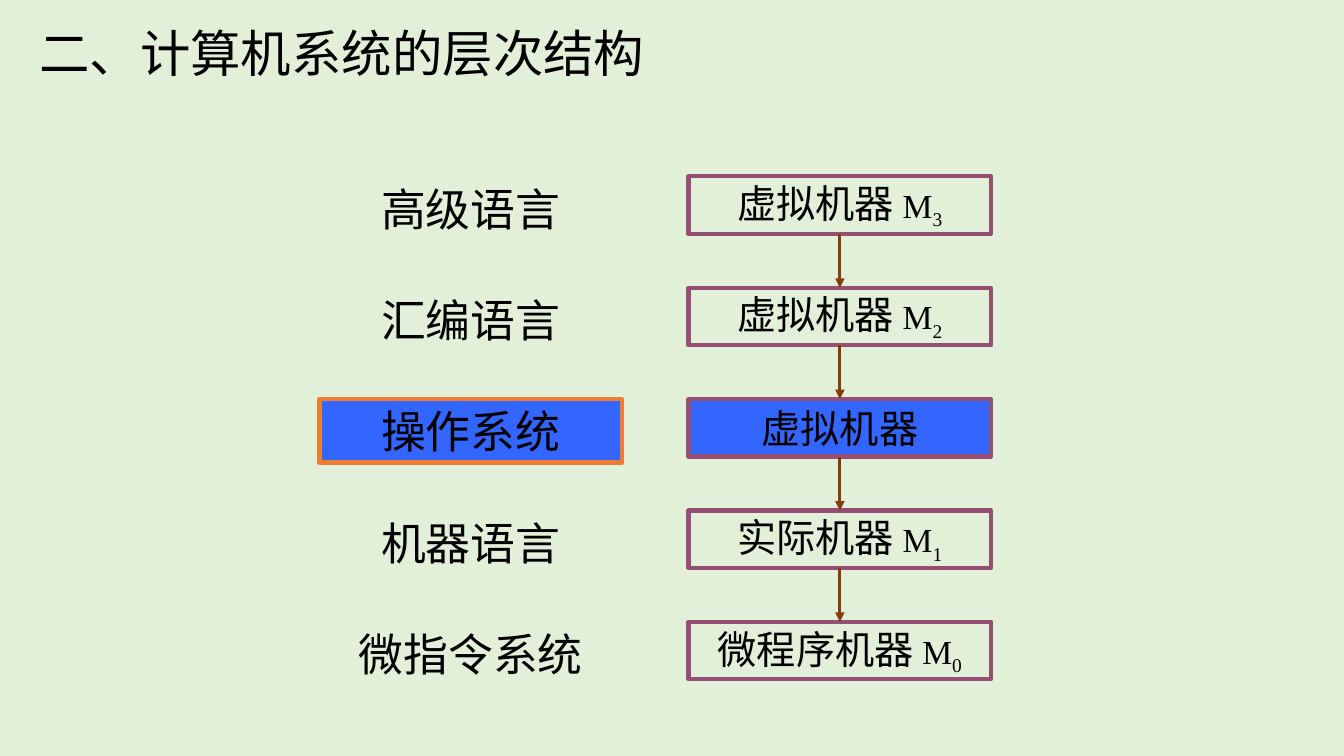
from pptx import Presentation
from pptx.dml.color import RGBColor
from pptx.enum import shapes as sh, text as tx
from pptx.oxml import ns, xmlchemy as xml
from pptx.util import Inches, Pt

HUES = {"back": "E2F0D9", "ink": "000000", "blue": "3366FF",
        "plum": "954F72", "orange": "ED7D31", "brown": "843C0B"}
HAN, ROMAN = "Noto Sans CJK SC", "Times New Roman"
ROWS = [("高级语言", "虚拟机器", "3"), ("汇编语言", "虚拟机器", "2"),
        ("操作系统", "虚拟机器", ""), ("机器语言", "实际机器", "1"),
        ("微指令系统", "微程序机器", "0")]


def hue(name):
    """Return the named colour."""
    return RGBColor.from_string(HUES[name])


def write(para, words, size=28, font=HAN, base=0):
    """Add one formatted run to a paragraph."""
    run = para.add_run()
    run.text = words
    run.font.size = Pt(size)
    run.font.name = font
    run.font.color.rgb = hue("ink")
    props = run.font._element
    east = xml.OxmlElement("a:ea")
    east.set("typeface", HAN)
    props.find(ns.qn("a:latin")).addnext(east)
    if base:
        props.set("baseline", str(base * 1000))


def frame(shape, anchor, align):
    """Set up a shape's text frame and return its first paragraph."""
    body = shape.text_frame
    body.word_wrap = True
    body.auto_size = tx.MSO_AUTO_SIZE.NONE
    body.vertical_anchor = anchor
    body.margin_top = body.margin_bottom = 0
    para = body.paragraphs[0]
    para.alignment = align
    return para


def cell(slide, box, line=None, fill=None):
    """Add a centred text box, or a rectangle if it has a line."""
    area = [Inches(n) for n in box]
    if line:
        shape = slide.shapes.add_shape(sh.MSO_SHAPE.RECTANGLE, *area)
        shape.shadow.inherit = False
        shape.line.color.rgb = hue(line)
        shape.line.width = Pt(3)
        if fill:
            shape.fill.solid()
            shape.fill.fore_color.rgb = hue(fill)
        else:
            shape.fill.background()
    else:
        shape = slide.shapes.add_textbox(*area)
    return shape, frame(shape, tx.MSO_ANCHOR.MIDDLE, tx.PP_ALIGN.CENTER)


def arrow(slide, start, end):
    """Join the bottom of one box to the top of the next."""
    link = slide.shapes.add_connector(sh.MSO_CONNECTOR.STRAIGHT, 0, 0, 0, 0)
    link.begin_connect(start, 2)
    link.end_connect(end, 0)
    link.line.color.rgb = hue("brown")
    link.line.width = Pt(2.25)
    tail = xml.OxmlElement("a:tailEnd")
    tail.set("type", "triangle")
    link.line._get_or_add_ln().append(tail)
    link._element.spPr.append(xml.OxmlElement("a:effectLst"))


def head(slide, box, words):
    """Place and format the slide title."""
    title = slide.shapes.title
    title.left, title.top, title.width, title.height = map(Inches, box)
    para = frame(title, tx.MSO_ANCHOR.TOP, tx.PP_ALIGN.LEFT)
    write(para, words, size=36, font=ROMAN)


def stack(slide, box, rows):
    """Draw the language labels beside the chain of machines."""
    left, top, wide, high = box
    tall, width = 0.57, 3
    step = (high - tall) / (len(rows) - 1)
    last = None
    for i, (label, name, level) in enumerate(rows):
        y = top + i * step
        fill = None if level else "blue"
        edge = None if level else "orange"
        _, para = cell(slide, (left, y, width, 0.63), edge, fill)
        write(para, label, size=32)
        unit, para = cell(slide, (left + wide - width, y, width, tall),
                          "plum", fill)
        write(para, name + " " if level else name)
        if level:
            write(para, "M", size=24, font=ROMAN)
            write(para, level, size=24, font=ROMAN, base=-25)
        if last:
            arrow(slide, last, unit)
        last = unit


def main():
    """Build and save the slide."""
    deck = Presentation()
    deck.slide_width, deck.slide_height = Inches(13.33), Inches(7.5)
    slide = deck.slides.add_slide(deck.slide_layouts[5])
    slide.background.fill.solid()
    slide.background.fill.fore_color.rgb = hue("back")
    head(slide, (0.29, 0.22, 8.5, 1), "二、计算机系统的层次结构")
    stack(slide, (3.17, 1.75, 6.66, 4.99), ROWS)
    deck.save("out.pptx")


if __name__ == "__main__":
    main()
